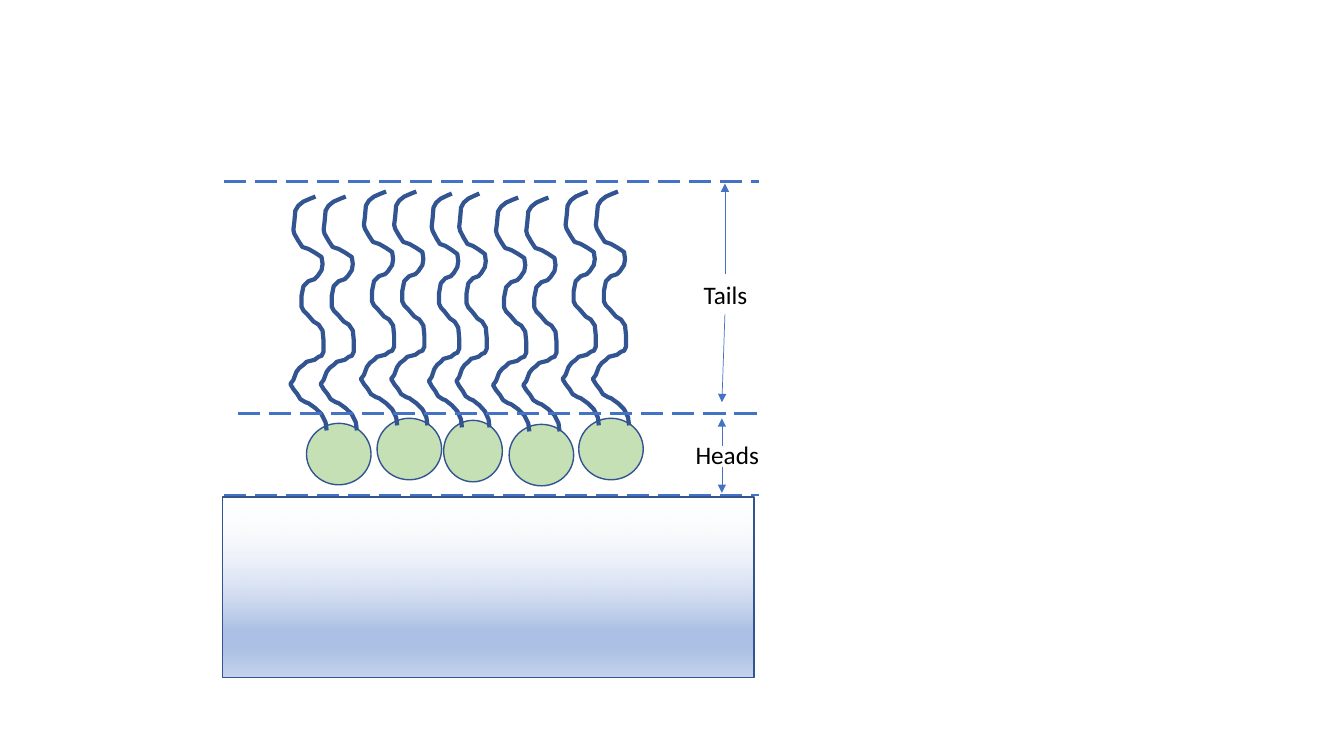
"""Draw a lipid monolayer on a substrate, with its tail and head regions marked."""
import lxml.etree
import pptx
import pptx.dml.color
import pptx.enum.dml
import pptx.enum.shapes
import pptx.oxml
import pptx.oxml.ns
import pptx.util

Inches = pptx.util.Inches
qn = pptx.oxml.ns.qn
SHAPES = pptx.enum.shapes.MSO_SHAPE
OUTLINE, ACCENT, HEAD_FILL = "325491", "4472C4", "C5E0B4"


def rgb(value):
    return pptx.dml.color.RGBColor.from_string(value)


def set_line(item, color, width):
    item.line.color.rgb = rgb(color)
    item.line.width = pptx.util.Pt(width)


deck = pptx.Presentation()
deck.slide_width, deck.slide_height = Inches(13.33), Inches(7.5)
page = deck.slides.add_slide(deck.slide_layouts[6])

tail_points = [
    (0.36, 2.32), (0.35, 2.24), (0.31, 2.16), (0.25, 2.10), (0.18, 2.05),
    (0.15, 2.04), (0.10, 2.01), (0.07, 1.96), (0.03, 1.91), (0, 1.86),
    (0.03, 1.82), (0.06, 1.74), (0.09, 1.70), (0.13, 1.67), (0.16, 1.64),
    (0.24, 1.62), (0.28, 1.59), (0.31, 1.58), (0.33, 1.54), (0.33, 1.43),
    (0.32, 1.33), (0.28, 1.27), (0.23, 1.24), (0.17, 1.17), (0.13, 1.13),
    (0.11, 1.09), (0.11, 0.99), (0.13, 0.89), (0.18, 0.84), (0.24, 0.82),
    (0.27, 0.79), (0.31, 0.73), (0.32, 0.67), (0.31, 0.60), (0.25, 0.56),
    (0.18, 0.52), (0.12, 0.50), (0.08, 0.44), (0.04, 0.37), (0.03, 0.33),
    (0.04, 0.25), (0.05, 0.14), (0.08, 0.09), (0.13, 0.05), (0.20, 0.02),
    (0.25, 0),
]
head_width, head_height = 0.64, 0.61
tail_pitch, tail_offset, tail_rise = 0.3, 0.16, 2.25
lipids = [(3.04, 4.2, 1), (3.74, 4.15, 1), (4.4, 4.17, 0.91), (5.05, 4.21, 1), (5.74, 4.15, 1)]
for left, top, stretch in lipids:
    head = page.shapes.add_shape(SHAPES.OVAL, Inches(left), Inches(top),
                                 Inches(head_width * stretch), Inches(head_height))
    head.shadow.inherit = False
    head.fill.solid()
    head.fill.fore_color.rgb = rgb(HEAD_FILL)
    set_line(head, OUTLINE, 1)
    for index in range(2):
        tail_left = left + (index * tail_pitch - tail_offset) * stretch
        points = [(Inches(tail_left + x * stretch), Inches(top - tail_rise + y))
                  for x, y in tail_points]
        builder = page.shapes.build_freeform(*points[0])
        builder.add_line_segments(points[1:], close=False)
        tail = builder.convert_to_shape()
        tail.shadow.inherit = False
        tail.fill.background()
        set_line(tail, OUTLINE, 3)

boundaries = [((2.22, y), (7.53, y)) for y in (1.8, 4.91)] + [((2.36, 4.1), (7.53, 4.1))]
arrows = [
    ((7.19, 3.12), (7.16, 3.99)),
    ((7.19, 2.72), (7.19, 1.82)),
    ((7.16, 4.63), (7.16, 4.89)),
    ((7.16, 4.42), (7.16, 4.15)),
]
for start, end in boundaries + arrows:
    connector = page.shapes.add_connector(pptx.enum.shapes.MSO_CONNECTOR.STRAIGHT,
                                          *map(Inches, start + end))
    if (start, end) in arrows:
        set_line(connector, ACCENT, 0.5)
        lxml.etree.SubElement(connector.line._get_or_add_ln(), qn("a:tailEnd"), type="triangle")
    else:
        set_line(connector, ACCENT, 2)
        connector.line.dash_style = pptx.enum.dml.MSO_LINE.LONG_DASH
    lxml.etree.SubElement(connector._element.spPr, qn("a:effectLst"))

label_format = {"name": "Calibri", "size": pptx.util.Pt(18)}
for label, left, top, width in [("Tails", 6.88, 2.72, 0.73), ("Heads", 6.8, 4.31, 0.91)]:
    box = page.shapes.add_textbox(Inches(left), Inches(top), Inches(width), Inches(0.4))
    box.text_frame.word_wrap = True
    span = box.text_frame.paragraphs[0].add_run()
    span.text = label
    for key, value in label_format.items():
        setattr(span.font, key, value)
    span.font.color.rgb = rgb("000000")

substrate = page.shapes.add_shape(SHAPES.RECTANGLE, Inches(2.21), Inches(4.93),
                                  Inches(5.27), Inches(1.79))
substrate.shadow.inherit = False
set_line(substrate, OUTLINE, 1)
substrate.fill.gradient()
stops = substrate._element.spPr.find(qn("a:gradFill")).find(qn("a:gsLst"))
for stop in list(stops):
    stops.remove(stop)
for position, color, alpha in [(0, "FFFFFF", 0), (74, "ABC0E4", 100),
                               (83, "ABC0E4", 100), (100, "C7D5ED", 100)]:
    stop = lxml.etree.SubElement(stops, qn("a:gs"), pos=str(position * 1000))
    shade = lxml.etree.SubElement(stop, qn("a:srgbClr"), val=color)
    lxml.etree.SubElement(shade, qn("a:alpha"), val=str(alpha * 1000))
substrate.fill.gradient_angle = 270

deck.save("out.pptx")
